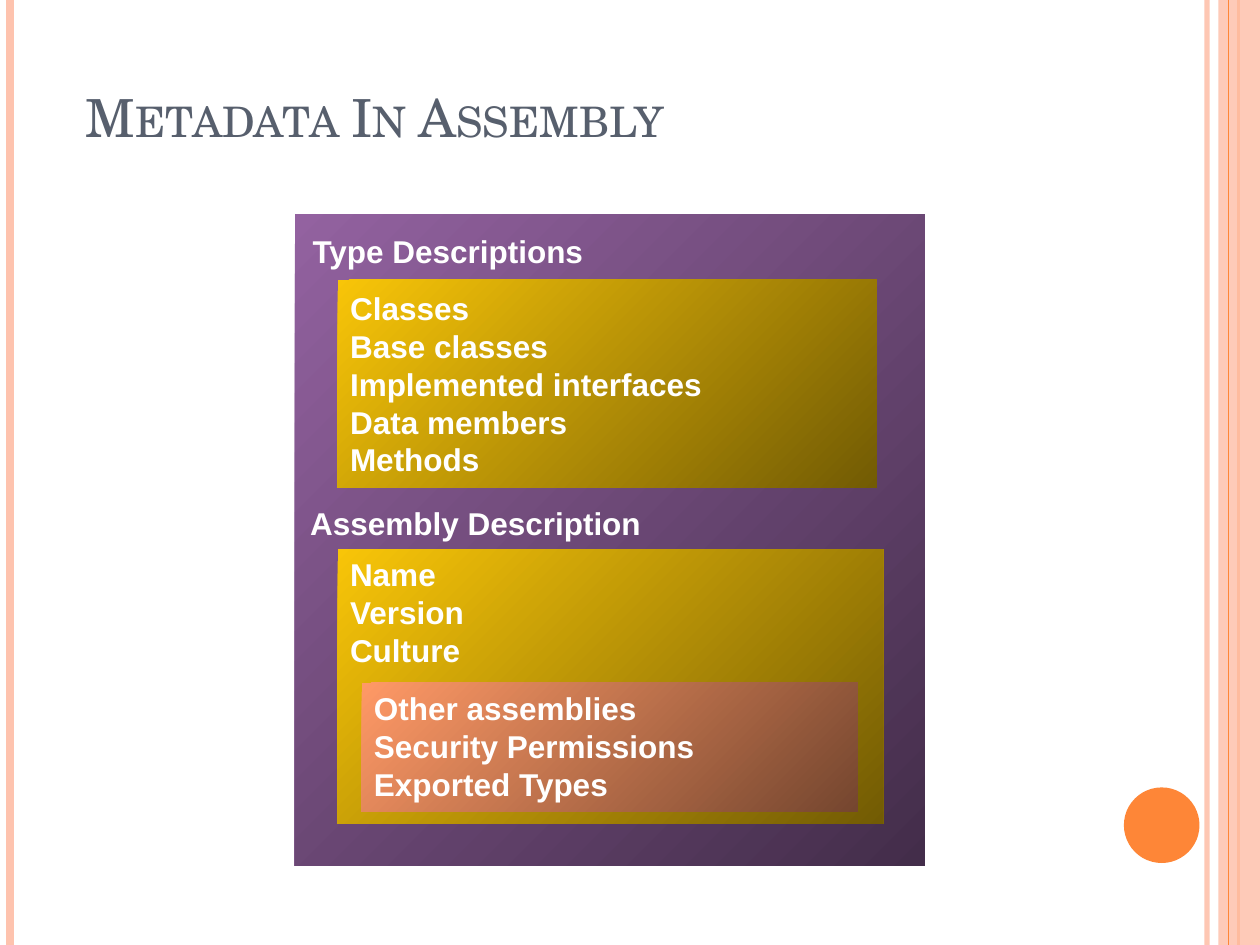
"""Build the slide showing the metadata held in an assembly as nested panels."""

import dataclasses
import typing

import pptx
import pptx.dml.color
import pptx.enum.shapes
import pptx.enum.text
import pptx.oxml
import pptx.oxml.ns
import pptx.util

ALIGN = pptx.enum.text.PP_ALIGN
ANCHOR = pptx.enum.text.MSO_ANCHOR
SHAPES = pptx.enum.shapes.MSO_SHAPE
DRAWING = pptx.oxml.ns.nsdecls("a")


@dataclasses.dataclass(frozen=True)
class Theme:
    """Colours, fonts and type sizes of the slide."""

    orange: str = "FE8637"
    peach: str = "FEC3AE"
    slate: str = "575F6D"
    white: str = "FFFFFF"
    purple: tuple[str, str] = ("9362A0", "432D4A")
    gold: tuple[str, str] = ("F8C508", "725B04")
    coral: tuple[str, str] = ("FF9966", "75462F")
    title_font: str = "TeX Gyre Schola"
    body_font: str = "Arial"
    title_size: int = 30
    body_size: int = 18


class Area(typing.NamedTuple):
    """A place on the slide, in columns and rows of a 100 by 100 grid."""

    column: float
    row: float
    columns: float
    rows: float


class Stripe(typing.NamedTuple):
    """A full-height vertical line."""

    column: float
    color: str
    width: float
    opacity: int = 100


class Panel(typing.NamedTuple):
    """A gradient rectangle with its lines of text."""

    area: Area
    gradient: tuple[str, str]
    lines: tuple[str, ...] = ()
    anchor: ANCHOR = ANCHOR.TOP


class Label(typing.NamedTuple):
    """A heading over a panel."""

    area: Area
    text: str


THEME = Theme()
WIDTH = pptx.util.Inches(10)
HEIGHT = pptx.util.Inches(7.5)

STRIPES = (
    Stripe(95.8, THEME.peach, 3, 93),
    Stripe(0.8, THEME.peach, 4.5),
    Stripe(98.3, THEME.orange, 1.5),
)
EDGE_STRIPE = Stripe(97.5, THEME.orange, 0.75)
EDGE_BAND = Area(96.7, 0, 3.3, 100)
DISC = Area(89.2, 83.33, 6, 8)
TITLE = Label(Area(5.8, 2.27, 80.8, 14), "Metadata In Assembly")

PANELS = (
    Panel(Area(23.4, 22.67, 50, 68.93), THEME.purple),
    Panel(
        Area(26.8, 29.6, 42.8, 22),
        THEME.gold,
        ("Classes", "Base classes", "Implemented interfaces", "Data members", "Methods"),
        ANCHOR.MIDDLE,
    ),
    Panel(Area(26.8, 58.13, 43.3, 29.07), THEME.gold, ("Name", "Version", "Culture")),
    Panel(
        Area(28.7, 72.27, 39.4, 13.6),
        THEME.coral,
        ("Other assemblies", "Security Permissions", "Exported Types"),
    ),
)
LABELS = (
    Label(Area(23.7, 23.87, 23.7, 5.33), "Type Descriptions"),
    Label(Area(23.6, 52.67, 28.3, 5.33), "Assembly Description"),
)


def rgb(color: str) -> pptx.dml.color.RGBColor:
    """Turn a hexadecimal string into a colour."""
    return pptx.dml.color.RGBColor.from_string(color)


def place(area: Area) -> tuple[int, int, int, int]:
    """Convert a grid area to left, top, width and height."""
    return (
        round(WIDTH * area.column / 100),
        round(HEIGHT * area.row / 100),
        round(WIDTH * area.columns / 100),
        round(HEIGHT * area.rows / 100),
    )


def set_opacity(element, percent: int) -> None:
    """Give the solid colour inside an element its opacity."""
    color = element.find(".//" + pptx.oxml.ns.qn("a:srgbClr"))
    color.append(pptx.oxml.parse_xml(f'<a:alpha {DRAWING} val="{percent * 1000}"/>'))


def write(frame, lines: tuple[str, ...], alignment: ALIGN) -> None:
    """Write bold white lines, one paragraph each, without wrapping."""
    frame.word_wrap = False
    for index, line in enumerate(lines):
        paragraph = frame.add_paragraph() if index else frame.paragraphs[0]
        paragraph.alignment = alignment
        run = paragraph.add_run()
        run.text = line
        run.font.name = THEME.body_font
        run.font.size = pptx.util.Pt(THEME.body_size)
        run.font.bold = True
        run.font.color.rgb = rgb(THEME.white)


def draw_stripe(slide, stripe: Stripe) -> None:
    """Draw a vertical line from top to bottom."""
    left = round(WIDTH * stripe.column / 100)
    connector = slide.shapes.add_connector(
        pptx.enum.shapes.MSO_CONNECTOR.STRAIGHT, left, 0, left, HEIGHT
    )
    connector.line.color.rgb = rgb(stripe.color)
    connector.line.width = pptx.util.Pt(stripe.width)
    properties = connector.element.spPr
    if stripe.opacity < 100:
        set_opacity(properties, stripe.opacity)
    properties.append(pptx.oxml.parse_xml(f"<a:effectLst {DRAWING}/>"))


def draw_shape(slide, kind: SHAPES, area: Area):
    """Add a preset shape without outline or shadow."""
    shape = slide.shapes.add_shape(kind, *place(area))
    shape.shadow.inherit = False
    shape.line.fill.background()
    return shape


def draw_solid(slide, kind: SHAPES, area: Area, color: str, opacity: int = 100) -> None:
    """Draw a shape filled with one colour."""
    shape = draw_shape(slide, kind, area)
    shape.fill.solid()
    shape.fill.fore_color.rgb = rgb(color)
    set_opacity(shape.element.spPr, opacity)


def draw_panel(slide, panel: Panel) -> None:
    """Draw a panel shaded from its top left to its bottom right corner."""
    shape = draw_shape(slide, SHAPES.RECTANGLE, panel.area)
    shape.fill.gradient()
    shape.fill.gradient_angle = 315
    for stop, position, color in zip(shape.fill.gradient_stops, (0, 1), panel.gradient):
        stop.position = position
        stop.color.rgb = rgb(color)
    shape.text_frame.vertical_anchor = panel.anchor
    write(shape.text_frame, panel.lines, ALIGN.LEFT)


def draw_label(slide, label: Label) -> None:
    """Draw a panel heading."""
    frame = slide.shapes.add_textbox(*place(label.area)).text_frame
    frame.auto_size = pptx.enum.text.MSO_AUTO_SIZE.SHAPE_TO_FIT_TEXT
    write(frame, (label.text,), ALIGN.CENTER)


def draw_title(slide, title: Label) -> None:
    """Draw the slide title in small capitals."""
    frame = slide.shapes.add_textbox(*place(title.area)).text_frame
    frame.word_wrap = True
    frame.vertical_anchor = ANCHOR.BOTTOM
    run = frame.paragraphs[0].add_run()
    run.text = title.text
    run.font.name = THEME.title_font
    run.font.size = pptx.util.Pt(THEME.title_size)
    run.font.color.rgb = rgb(THEME.slate)
    run.font._element.set("cap", "small")


def main() -> None:
    """Build and save the presentation."""
    presentation = pptx.Presentation()
    presentation.slide_width, presentation.slide_height = WIDTH, HEIGHT
    slide = presentation.slides.add_slide(presentation.slide_layouts[6])
    for stripe in STRIPES:
        draw_stripe(slide, stripe)
    draw_solid(slide, SHAPES.RECTANGLE, EDGE_BAND, THEME.peach, 87)
    draw_stripe(slide, EDGE_STRIPE)
    draw_solid(slide, SHAPES.OVAL, DISC, THEME.orange)
    draw_title(slide, TITLE)
    for panel in PANELS:
        draw_panel(slide, panel)
    for label in LABELS:
        draw_label(slide, label)
    presentation.save("out.pptx")


if __name__ == "__main__":
    main()
